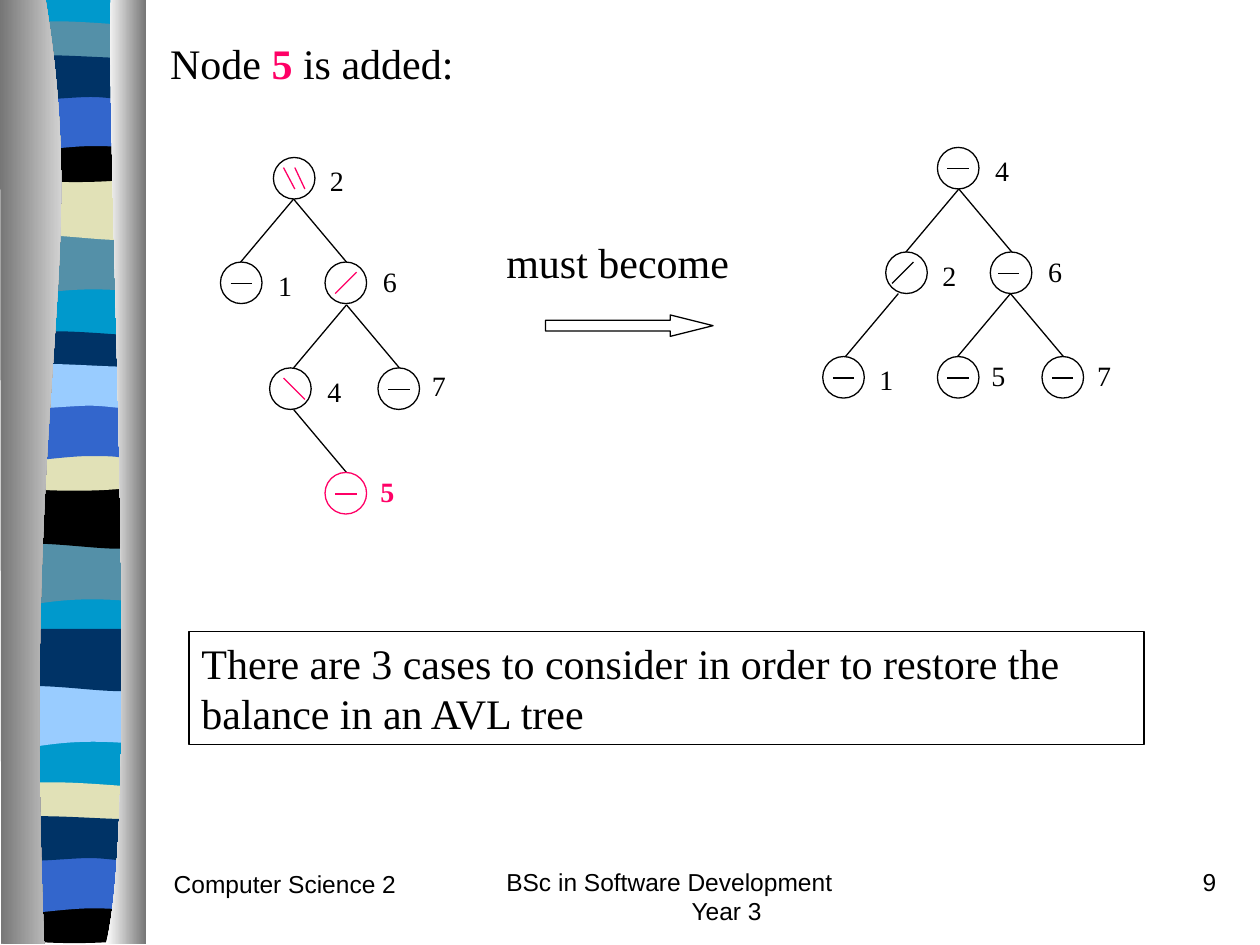
from typing import NamedTuple

from lxml import etree
from pptx import Presentation
from pptx import util as u
from pptx.dml.color import RGBColor
from pptx.enum import shapes, text
from pptx.oxml import ns

BLACK = RGBColor(0x00, 0x00, 0x00)
PINK = RGBColor(0xFF, 0x00, 0x66)
WHITE = RGBColor(0xFF, 0xFF, 0xFF)
GREY = RGBColor(0x76, 0x76, 0x76)
SKY = RGBColor(0x00, 0x99, 0xCC)
STEEL = RGBColor(0x54, 0x90, 0xA8)
SAND = RGBColor(0xE1, 0xE1, 0xB7)
BLUE = RGBColor(0x33, 0x66, 0xCC)
NAVY = RGBColor(0x00, 0x33, 0x66)
PALE = RGBColor(0x99, 0xCC, 0xFF)

SERIF = {"name": "Times New Roman", "size": u.Pt(24), "bold": False}
KEY = {**SERIF, "size": u.Pt(16)}
FOOTER = {"name": "Arial", "size": u.Pt(14), "bold": False}
INSETS = {"margin_left": u.Inches(0.1), "margin_right": u.Inches(0.1),
          "margin_top": u.Inches(0.05), "margin_bottom": u.Inches(0.05),
          "vertical_anchor": text.MSO_ANCHOR.TOP}
DIAMETER = 0.33

WAVES = {
    "wavy foot": [(1.08, 0), (1.08, 0.47), (0.33, 0.39, 0.18, 0.55, 0, 0.47), (0, 0)],
    "bent foot": [(1.08, 0), (1.08, 0.47), (0.9, 0.55, 0.33, 0.41, 0, 0.47), (0, 0)],
    "domed": [(1.08, 0.05), (1.08, 0.29), (0.9, 0.33, 0.18, 0.33, 0, 0.29), (0, 0.05),
              (0.07, 0, 0.23, 0.01, 0.41, 0.01), (0.59, 0.01, 0.94, 0.04, 1.08, 0.05)],
    "bowl": [(1.08, 0), (1.08, 0.32), (0.9, 0.38, 0.18, 0.38, 0, 0.32), (0, 0),
             (0.66, 0.05, 0.85, 0, 1.08, 0)],
    "arched foot": [(1.08, 0), (1.08, 0.47), (0.91, 0.42, 0.84, 0.42, 0.66, 0.42),
                    (0.48, 0.42, 0.16, 0.47, 0, 0.47), (0, 0)],
    "ribbon": [(1.08, 0.05), (1.08, 0.36), (1.01, 0.41, 0.84, 0.36, 0.66, 0.36),
               (0.48, 0.36, 0.11, 0.41, 0, 0.36), (0, 0.05),
               (0.15, 0, 0.73, 0.05, 0.91, 0.05), (1.09, 0.05, 1.04, 0.05, 1.08, 0.05)],
}
BANDS = [
    ("wavy foot", 0.06, 1.85, STEEL), ("bent foot", 0.06, 1.41, SAND),
    ("domed", 0.06, 0.16, STEEL), ("bowl", 0.06, 1.08, BLACK),
    ("arched foot", 0.06, 0.74, BLUE), ("ribbon", 0.06, 0.41, NAVY),
    ("wavy foot", 0.05, 4.31, STEEL), ("bent foot", 0.05, 3.86, BLACK),
    ("domed", 0.05, 2.62, NAVY), ("bowl", 0.05, 3.53, SAND),
    ("arched foot", 0.05, 3.2, BLUE), ("ribbon", 0.05, 2.86, PALE),
    ("wavy foot", 0.06, 5.44, PALE), ("bent foot", 0.06, 4.99, NAVY),
    ("domed", 0.05, 6.2, SAND), ("bowl", 0.05, 7.12, BLACK),
    ("arched foot", 0.05, 6.79, BLUE), ("ribbon", 0.05, 6.45, NAVY),
]
DRAPES = [
    ([(0.36, -0.01), (0.72, 2.16, 0.17, 2.96, 0.35, 7.49), (0.01, 7.49), (0, -0.01)],
     (GREY, WHITE)),
    ([(0.88, -0.01), (0.84, 1.25, 1.12, 6.46, 0.84, 7.49), (1.16, 7.49), (1.16, 0)],
     (WHITE, GREY)),
]
BALANCES = {
    "even": [(0.08, 0.17, 0.25, 0.17)],
    "left": [(0.25, 0.08, 0.08, 0.25)],
    "right": [(0.08, 0.08, 0.25, 0.25)],
    "double right": [(0.17, 0.08, 0.25, 0.25), (0.08, 0.08, 0.17, 0.25)],
}


class Node(NamedTuple):
    """A tree node: key, corner, key offset, balance and colours."""
    key: str
    x: float
    y: float
    key_dx: float
    key_dy: float
    balance: str = "even"
    mark_color: RGBColor = BLACK
    color: RGBColor = BLACK
    mark_dx: float = 0


UNBALANCED = [
    Node("2", 2.17, 1.25, 0.35, 0, "double right", PINK),
    Node("6", 2.58, 2.08, 0.36, -0.03, "left", PINK),
    Node("1", 1.75, 2.08, 0.36, 0),
    Node("7", 3, 2.92, 0.33, -0.04),
    Node("4", 2.14, 2.92, 0.36, 0, "right", PINK, BLACK, 0.03),
    Node("5", 2.58, 3.75, 0.34, -0.03, "even", PINK, PINK),
]
UNBALANCED_BRANCHES = [(2.33, 1.58, 1), (2.33, 1.58, -1), (2.75, 2.42, 1),
                       (2.75, 2.42, -1), (2.33, 3.25, 1)]
BALANCED = [
    Node("4", 7.44, 1.17, 0.36, 0),
    Node("6", 7.86, 2, 0.36, -0.03, mark_dx=-0.02),
    Node("2", 7.03, 2, 0.35, 0, "left", mark_dx=-0.03),
    Node("7", 8.27, 2.83, 0.34, -0.03),
    Node("1", 6.53, 2.83, 0.35, 0),
    Node("5", 7.44, 2.83, 0.33, -0.03),
]
BALANCED_BRANCHES = [(7.61, 1.5, 1), (7.61, 1.5, -1), (8.02, 2.33, 1),
                     (7.13, 2.33, -1), (8.02, 2.33, -1)]


def apply(target, values):
    """Set each named attribute on the target."""
    for name, value in values.items():
        setattr(target, name, value)


def box(*lengths):
    """Turn inch values into lengths."""
    return [u.Inches(length) for length in lengths]


def write(paragraph, runs, style, space=0, align=text.PP_ALIGN.LEFT):
    """Fill a paragraph with (words, colour, bold) runs."""
    apply(paragraph, {"alignment": align, "space_before": u.Pt(space)})
    for words, color, bold in runs:
        run = paragraph.add_run()
        run.text = words
        apply(run.font, {**style, "bold": bold})
        run.font.color.rgb = color


def add_text(parent, place, words, style, space, color=BLACK, bold=False,
             wrap=True, align=text.PP_ALIGN.LEFT):
    """Add a text box with one paragraph and return its frame."""
    frame = parent.add_textbox(*box(*place)).text_frame
    apply(frame, {**INSETS, "word_wrap": wrap})
    write(frame.paragraphs[0], [(words, color, bold)], style, space, align)
    return frame


def add_outline(parent, kind, place, color=BLACK):
    """Add an unfilled preset shape with a thin line."""
    outline = parent.add_shape(kind, *box(*place))
    outline.shadow.inherit = False
    outline.fill.background()
    outline.line.color.rgb = color
    outline.line.width = u.Pt(0.75)
    return outline


def add_line(parent, ends, color=BLACK):
    """Add a thin straight line without a shadow."""
    line = parent.add_connector(shapes.MSO_CONNECTOR.STRAIGHT, *box(*ends))
    line.line.color.rgb = color
    line.line.width = u.Pt(0.75)
    etree.SubElement(line._element.spPr, ns.qn("a:effectLst"))


def bend(area, steps):
    """Join the three segments of each curved step into one cubic curve."""
    segments = iter(area._element.findall(".//" + ns.qn("a:lnTo")))
    for step in steps[1:]:
        segment = next(segments)
        if len(step) == 6:
            segment.addprevious(curve := etree.Element(ns.qn("a:cubicBezTo")))
            for part in (segment, next(segments), next(segments)):
                curve.append(part[0])
                part.getparent().remove(part)


def add_area(parent, steps, colors, left=0, top=0):
    """Add a borderless outline, plain or with a sideways gradient."""
    points = [box(left + step[i], top + step[i + 1])
              for step in steps for i in range(0, len(step), 2)]
    builder = parent.build_freeform(*points[0])
    builder.add_line_segments(points[1:], close=True)
    area = builder.convert_to_shape()
    bend(area, steps)
    area.shadow.inherit = False
    area.line.fill.background()
    if len(colors) == 1:
        area.fill.solid()
        area.fill.fore_color.rgb = colors[0]
        return
    area.fill.gradient()
    area.fill.gradient_angle = 0
    for stop, color in zip(area.fill.gradient_stops, colors):
        stop.color.rgb = color


def add_border(slide, master):
    """Draw the striped strip and its drapes, and hand them to the master."""
    border = slide.shapes.add_group_shape()
    add_area(border.shapes, [(1.14, -0.01), (1.14, 7.47), (0.06, 7.47), (0.06, -0.01)], [SKY])
    for wave, left, top, color in BANDS:
        add_area(border.shapes, WAVES[wave], [color], left, top)
    for steps, colors in DRAPES:
        add_area(border.shapes, steps, colors)
    master.shapes._spTree.insert(2, border._element)


def add_tree(parent, nodes, branches):
    """Add the branches, then each node with its key and balance mark."""
    for x, y, side in branches:
        add_line(parent, (x, y, x + side * 0.42, y + 0.5))
    for node in nodes:
        add_outline(parent, shapes.MSO_SHAPE.OVAL,
                    (node.x, node.y, DIAMETER, DIAMETER), node.color)
        add_text(parent, (node.x + node.key_dx, node.y + node.key_dy, 0.31, 0.37),
                 node.key, KEY, 10, node.color, node.color == PINK, wrap=False)
        left = node.x + node.mark_dx
        for x1, y1, x2, y2 in BALANCES[node.balance]:
            add_line(parent, (left + x1, node.y + y1, left + x2, node.y + y2),
                     node.mark_color)


def add_heading(title):
    """Move the title placeholder and write the heading in it."""
    places = box(1.25, 0.25, 5.33, 0.5)
    apply(title, dict(zip(("left", "top", "width", "height"), places)))
    apply(title.text_frame, {**INSETS, "word_wrap": True,
                             "auto_size": text.MSO_AUTO_SIZE.NONE})
    write(title.text_frame.paragraphs[0],
          [("Node ", BLACK, False), ("5", PINK, True), (" is added:", BLACK, False)],
          SERIF, 15)


def add_footer(parent):
    """Add the course, the programme with a hanging year and the page number."""
    programme = add_text(parent, (3.92, 6.83, 3.17, 0.5),
                         "BSc in Software Development Year 3", FOOTER, 8.8)
    programme.margin_right = u.Inches(0.4)
    hanging = programme.paragraphs[0]._p.get_or_add_pPr()
    hanging.set("marL", str(u.Inches(1.47)))
    hanging.set("indent", str(-u.Inches(1.47)))
    add_text(parent, (7.67, 6.83, 2.08, 0.5), "9", FOOTER, 8.8,
             align=text.PP_ALIGN.RIGHT)
    add_text(parent, (1.28, 6.85, 2.08, 0.5), "Computer Science 2", FOOTER, 8.8)


def main():
    """Build the slide and save it."""
    deck = Presentation()
    deck.slide_width, deck.slide_height = box(10, 7.5)
    slide = deck.slides.add_slide(deck.slide_layouts[5])
    add_border(slide, deck.slide_master)
    add_heading(slide.shapes.title)
    add_text(slide.shapes, (3.92, 1.83, 2.08, 0.5), "must become", SERIF, 15)
    arrow = add_outline(slide.shapes, shapes.MSO_SHAPE.RIGHT_ARROW, (4.33, 2.5, 1.33, 0.17))
    arrow.adjustments[1] = 2
    for nodes, branches in ((UNBALANCED, UNBALANCED_BRANCHES), (BALANCED, BALANCED_BRANCHES)):
        add_tree(slide.shapes.add_group_shape().shapes, nodes, branches)
    remark = add_outline(slide.shapes, shapes.MSO_SHAPE.RECTANGLE, (1.5, 5.01, 7.58, 0.9))
    apply(remark.text_frame, {**INSETS, "word_wrap": True})
    write(remark.text_frame.paragraphs[0],
          [("There are 3 cases to consider in order to restore the balance in an AVL tree",
            BLACK, False)], SERIF, 15)
    add_footer(slide.shapes)
    deck.save("out.pptx")


if __name__ == "__main__":
    main()
